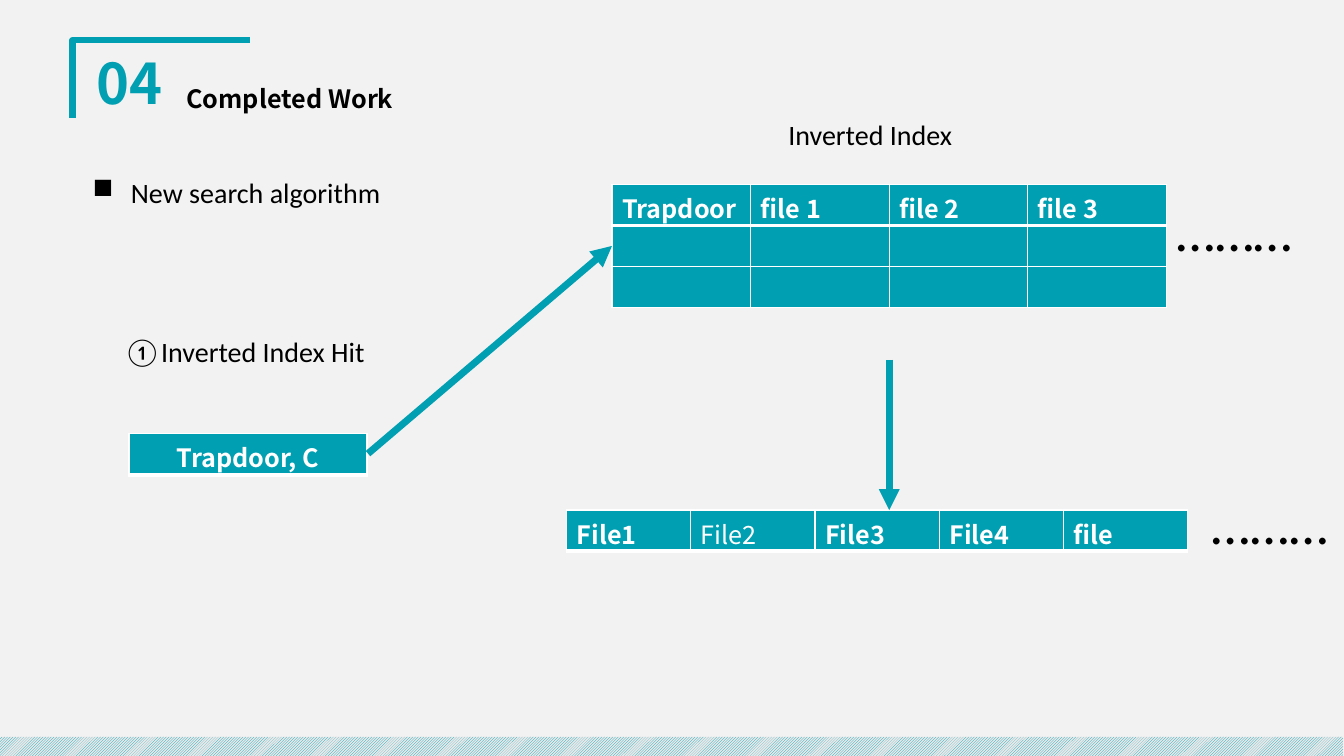
from lxml.etree import SubElement
from pptx import Presentation
from pptx.dml.color import RGBColor
from pptx.enum.dml import MSO_PATTERN
from pptx.enum.shapes import MSO_CONNECTOR, MSO_SHAPE
from pptx.enum.text import MSO_ANCHOR, MSO_AUTO_SIZE, PP_ALIGN
from pptx.oxml import parse_xml
from pptx.oxml.ns import nsdecls, qn
from pptx.util import Inches, Pt

COLORS = {"teal": "009FB1", "back": "F2F2F2", "stripe": "E9E9E9",
          "white": "FFFFFF", "black": "000000"}
CJK = "Noto Sans CJK SC"
HEADING = {"line_spacing": 0.9, "space_before": Pt(10)}
BODY = {"line_spacing": 1.3, "space_before": Pt(6)}


def rgb(name):
    """Return the named colour."""
    return RGBColor.from_string(COLORS[name])


def apply(target, formats):
    """Set each attribute of target from a dict."""
    for name, value in formats.items():
        setattr(target, name, value)


def add_run(p, text, size, font, color, bold=False):
    """Add a run with its font for Latin and East Asian text."""
    r = p.add_run()
    r.text = text
    apply(r.font, {"size": Pt(size), "name": font, "bold": bold})
    r.font.color.rgb = rgb(color)
    SubElement(r.font._element, qn("a:ea"), typeface=font)


def add_text(s, box, text, size, font="Calibri", color="black", bold=False,
             para=BODY, frame=None, bullet=None):
    """Add a one-paragraph text box, with a hanging bullet if given."""
    tf = s.shapes.add_textbox(*map(Inches, box)).text_frame
    apply(tf, {"word_wrap": True, **(frame or {"auto_size": MSO_AUTO_SIZE.SHAPE_TO_FIT_TEXT})})
    p = tf.paragraphs[0]
    apply(p, para)
    add_run(p, text, size, font, color, bold)
    if bullet:
        pPr = p._p.get_or_add_pPr()
        pPr.set("marL", str(Inches(0.38)))
        pPr.set("indent", str(-Inches(0.38)))
        SubElement(pPr, qn("a:buChar"), char=bullet)


def set_borders(cell, widths):
    """Give a cell white borders, ahead of its fill."""
    tcPr = cell._tc.get_or_add_tcPr()
    for i, (side, width) in enumerate(widths.items()):
        tcPr.insert(i, parse_xml(
            f'<a:ln{side} {nsdecls("a")} w="{Pt(width)}"><a:solidFill>'
            f'<a:srgbClr val="{COLORS["white"]}"/></a:solidFill></a:ln{side}>'))


def add_table(s, box, rows, align=PP_ALIGN.LEFT, plain=()):
    """Add a teal table with a thick rule under its first row."""
    shape = s.shapes.add_table(len(rows), len(rows[0]), *map(Inches, box))
    table = shape.table
    table.horz_banding = False
    for i, row in enumerate(rows):
        for j, text in enumerate(row):
            cell = table.cell(i, j)
            cell.fill.solid()
            cell.fill.fore_color.rgb = rgb("teal")
            set_borders(cell, {"L": 1, "R": 1, "T": 3 if i == 1 else 1,
                               "B": 3 if i == 0 else 1})
            p = cell.text_frame.paragraphs[0]
            p.alignment = align
            add_run(p, text, 18, CJK, "white", text not in plain)


def add_arrow(s, start, end):
    """Add a teal arrow from start to end."""
    line = s.shapes.add_connector(MSO_CONNECTOR.STRAIGHT, *map(Inches, start + end))
    line.line.color.rgb = rgb("teal")
    line.line.width = Pt(5)
    SubElement(line.line._get_or_add_ln(), qn("a:tailEnd"), type="triangle")
    SubElement(line._element.spPr, qn("a:effectLst"))


def add_corner(s, x, y, width, height):
    """Add the open corner line beside the heading."""
    builder = s.shapes.build_freeform(Inches(x), Inches(y + height))
    builder.add_line_segments([(Inches(x), Inches(y)), (Inches(x + width), Inches(y))], close=False)
    sp = builder.convert_to_shape()
    sp.shadow.inherit = False
    sp.fill.background()
    sp.line.color.rgb = rgb("teal")
    sp.line.width = Pt(4.5)


def add_stripes(s, box):
    """Add the hatched band at the foot."""
    sp = s.shapes.add_shape(MSO_SHAPE.RECTANGLE, *map(Inches, box))
    sp.shadow.inherit = False
    sp.line.fill.background()
    sp.fill.patterned()
    sp.fill.pattern = MSO_PATTERN.LIGHT_UPWARD_DIAGONAL
    sp.fill.fore_color.rgb = rgb("teal")
    sp.fill.back_color.rgb = rgb("stripe")


def main():
    """Build the slide and save it."""
    prs = Presentation()
    prs.slide_width, prs.slide_height = Inches(13.33), Inches(7.5)
    s = prs.slides.add_slide(prs.slide_layouts[6])
    s.background.fill.solid()
    s.background.fill.fore_color.rgb = rgb("back")

    add_corner(s, 0.72, 0.4, 1.76, 0.77)
    add_stripes(s, (-0.03, 7.31, 13.35, 0.22))
    middle = {"vertical_anchor": MSO_ANCHOR.MIDDLE}
    add_text(s, (0.82, 0.49, 0.93, 0.73), "04", 40, CJK, "teal", True,
             {**HEADING, "alignment": PP_ALIGN.CENTER}, middle)
    add_text(s, (1.75, 0.78, 2.67, 0.44), "Completed Work", 18, CJK, "black", True,
             HEADING, middle)

    add_table(s, (6.07, 1.83, 5.5, 1.22),
              [["Trapdoor", "file 1", "file 2", "file 3"], [""] * 4, [""] * 4])
    add_table(s, (1.28, 4.3, 2.36, 0.41), [["Trapdoor, C"]], PP_ALIGN.CENTER)
    add_table(s, (5.62, 5.06, 6.16, 0.41),
              [["File1", "File2", "File3", "File4", "file"]], plain=("File2",))
    add_arrow(s, (3.65, 4.5), (6.07, 2.44))
    add_arrow(s, (8.82, 3.57), (8.82, 5.06))

    add_text(s, (0.82, 1.59, 3.56, 0.5), "New search algorithm", 20, bullet="■")
    add_text(s, (7.72, 1.02, 2.67, 0.5), "Inverted Index", 20)
    add_text(s, (1.13, 3.17, 3.18, 0.5), "①Inverted Index Hit", 20)
    for x, y in ((11.57, 1.69), (11.92, 4.6)):
        add_text(s, (x, y, 1.42, 0.91), "………", 40)
    prs.save("out.pptx")


if __name__ == "__main__":
    main()
